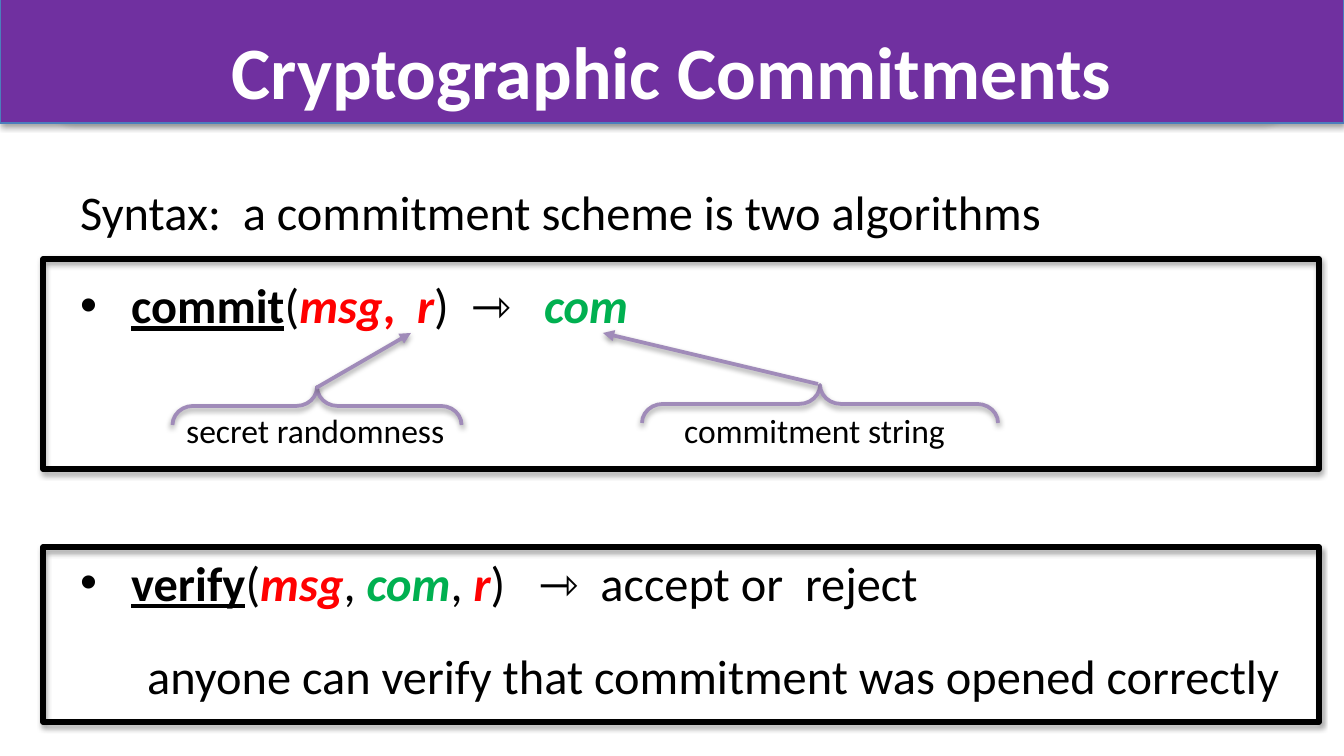
from lxml import etree
from pptx import Presentation
from pptx import util as u
from pptx.dml.color import RGBColor
from pptx.enum import shapes, text
from pptx.oxml import ns

SCALE = 914400 / 134.4
COLORS = {
    "black": "000000",
    "white": "FFFFFF",
    "red": "FF0000",
    "green": "00B050",
    "band": "7030A0",
    "band_edge": "4B7EBC",
    "frame_edge": "7D60A0",
    "callout": "A08BB9",
}
BODY_SIZE = 25.9
BOLD = {"bold": True}
NAME = {"bold": True, "underline": True}
RED = {"color": "red", "bold": True, "italic": True}
GREEN = {"color": "green", "bold": True, "italic": True}


def px(value):
    return u.Emu(round(value * SCALE))


def rgb(name):
    return RGBColor.from_string(COLORS[name])


def add_child(parent, tag, **attributes):
    return etree.SubElement(parent, ns.qn(tag), attributes)


def add_shadow(shape, alpha, distance):
    effects = add_child(shape._element.spPr, "a:effectLst")
    shadow = add_child(effects, "a:outerShdw", blurRad=str(u.Pt(3.1)),
                       dist=str(u.Pt(distance)), dir="5400000",
                       algn="ctr", rotWithShape="0")
    color = add_child(shadow, "a:srgbClr", val=COLORS["black"])
    add_child(color, "a:alpha", val=str(alpha * 1000))


def set_line(shape, color, width):
    shape.line.color.rgb = rgb(color)
    shape.line.width = u.Pt(width)


def add_box(slide, kind, box, line, width, fill=None):
    shape = slide.shapes.add_shape(kind, *map(px, box))
    if fill:
        shape.fill.solid()
        shape.fill.fore_color.rgb = rgb(fill)
    else:
        shape.fill.background()
    set_line(shape, line, width)
    add_shadow(shape, 35, 1.8)


def add_brace(slide, center, length, curve):
    depth = 38
    x, y = center
    brace = slide.shapes.add_shape(
        shapes.MSO_SHAPE.LEFT_BRACE, px(x - depth / 2), px(y - length / 2),
        px(depth), px(length))
    brace.rotation = 90
    brace.adjustments[0] = curve
    brace.fill.background()
    set_line(brace, "callout", 2)
    add_shadow(brace, 38, 1.6)


def add_arrow(slide, start, end):
    arrow = slide.shapes.add_connector(
        shapes.MSO_CONNECTOR.STRAIGHT, *map(px, start + end))
    set_line(arrow, "callout", 2)
    add_child(arrow._element.spPr.find(ns.qn("a:ln")), "a:tailEnd", type="triangle")
    add_shadow(arrow, 38, 1.6)


def add_text_frame(slide, box, wrap):
    frame = slide.shapes.add_textbox(*map(px, box)).text_frame
    frame.word_wrap = wrap
    frame.vertical_anchor = text.MSO_ANCHOR.TOP
    return frame


def add_run(paragraph, words, size, color="black", bold=False, italic=False,
            underline=False):
    run = paragraph.add_run()
    run.text = words
    font = run.font
    font.name = "Calibri"
    font.size = u.Pt(size)
    font.color.rgb = rgb(color)
    font.bold, font.italic, font.underline = bold, italic, underline


def add_label(slide, box, words, size, align=text.PP_ALIGN.LEFT, **style):
    paragraph = add_text_frame(slide, box, False).paragraphs[0]
    paragraph.alignment = align
    add_run(paragraph, words, size, **style)


def set_indent(paragraph, margin, bullet):
    properties = paragraph._p.get_or_add_pPr()
    properties.set("marL", str(px(margin)))
    properties.set("indent", str(px(-margin if bullet else 0)))
    if bullet:
        add_child(properties, "a:buFont", typeface="Arial")
        add_child(properties, "a:buChar", char="•")


def add_body(slide, box, lines):
    frame = add_text_frame(slide, box, True)
    for index, (margin, bullet, space, runs) in enumerate(lines):
        paragraph = frame.add_paragraph() if index else frame.paragraphs[0]
        set_indent(paragraph, margin, bullet)
        paragraph.space_before = u.Pt(space)
        for words, style in runs:
            add_run(paragraph, words, BODY_SIZE, **style)


def main():
    presentation = Presentation()
    presentation.slide_width, presentation.slide_height = px(1344), px(756)
    slide = presentation.slides.add_slide(presentation.slide_layouts[6])
    rectangle = shapes.MSO_SHAPE.RECTANGLE

    add_box(slide, shapes.MSO_SHAPE.ROUNDED_RECTANGLE, (54, 0, 1227, 120),
            "frame_edge", 0.75)
    add_box(slide, rectangle, (0, -1, 1344, 124), "band_edge", 0.75, "band")
    add_label(slide, (67, 19, 1210, 91), "Cryptographic Commitments", 39.6,
              text.PP_ALIGN.CENTER, color="white", bold=True)

    add_body(slide, (67, 176, 1261, 544), [
        (0, False, 0, [("Syntax:  a commitment scheme is two algorithms", {})]),
        (51, True, 18.7, [
            ("commit", NAME), ("(", {}), ("msg", RED),
            (",  ", {"color": "red", **BOLD}), ("r", RED), (")  ⇾   ", {}),
            ("com", GREEN)]),
        (51, True, 117.5, [
            ("verify", NAME), ("(", {}), ("msg", RED), (", ", {}),
            ("com", GREEN), (", ", {}), ("r", RED),
            (")   ⇾  accept or  reject", {})]),
        (67, False, 18.7, [
            ("anyone can verify that commitment was opened correctly", {})]),
    ])

    callouts = [
        ("secret randomness", (173, 403, 289, 54), (317, 406), 289, 0.54,
         (316, 388), (411, 333)),
        ("commitment string", (671, 403, 290, 54), (820, 404), 356, 0.55,
         (818, 384), (603, 333)),
    ]
    for words, box, center, length, curve, start, end in callouts:
        add_label(slide, box, words, 18)
        add_brace(slide, center, length, curve)
        add_arrow(slide, start, end)

    for top, height in ((259, 210), (547, 175)):
        add_box(slide, rectangle, (43, top, 1276, height), "black", 3)

    presentation.save("out.pptx")


if __name__ == "__main__":
    main()
